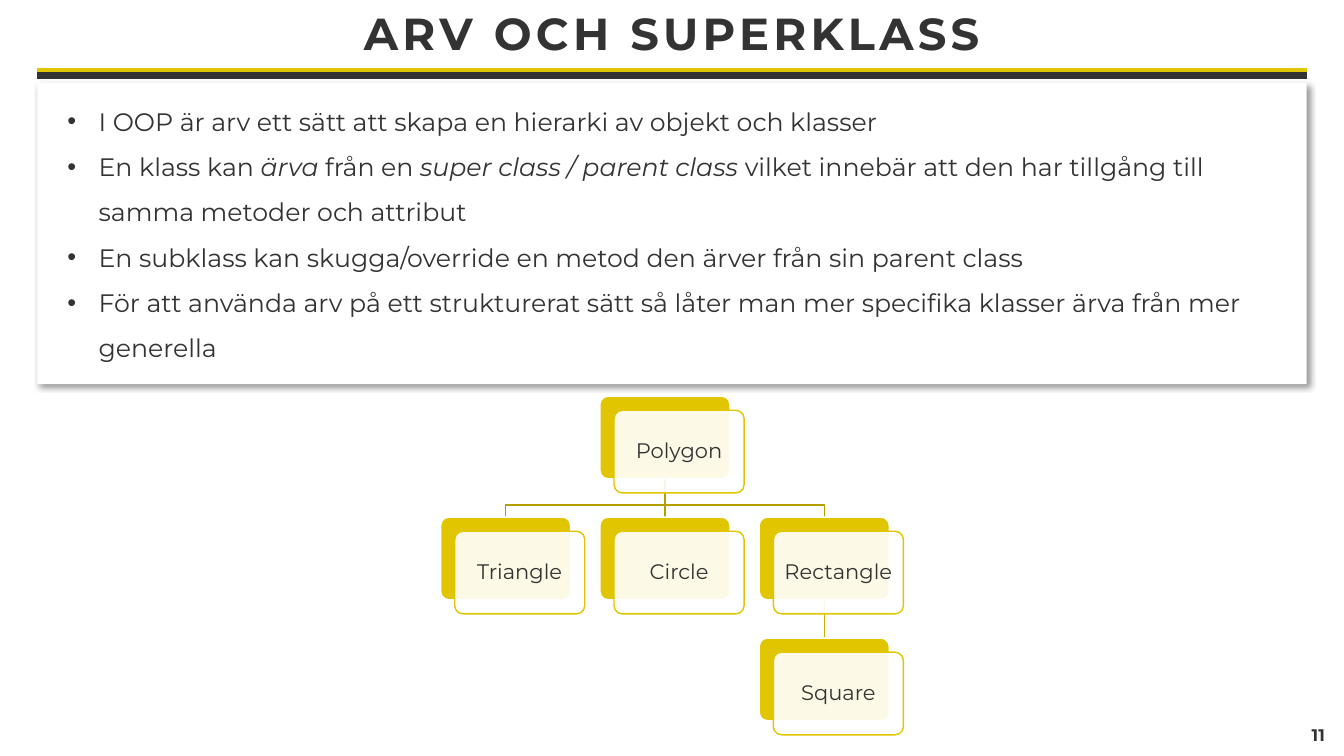
from dataclasses import dataclass

import pptx
import pptx.dml.color
import pptx.enum.shapes
import pptx.enum.text
import pptx.oxml
import pptx.oxml.ns
import pptx.presentation
import pptx.shapes.autoshape
import pptx.shapes.base
import pptx.slide
import pptx.text.text
import pptx.util
from lxml import etree

Inches = pptx.util.Inches
Pt = pptx.util.Pt
RGBColor = pptx.dml.color.RGBColor
Align = pptx.enum.text.PP_ALIGN
Anchor = pptx.enum.text.MSO_ANCHOR
Preset = pptx.enum.shapes.MSO_SHAPE
qn = pptx.oxml.ns.qn

GOLD = RGBColor(0xE1, 0xC5, 0x00)
OCHRE = RGBColor(0xB4, 0x9E, 0x00)
AMBER = RGBColor(0xCC, 0xB3, 0x00)
DARK = RGBColor(0x33, 0x33, 0x33)
WHITE = RGBColor(0xFF, 0xFF, 0xFF)
FONT = "Montserrat"

LEFT, TOP = 4.37, 3.93
STEP_X, STEP_Y = 1.58, 1.2
WIDE, HIGH = 1.29, 0.82
SHIFT = 0.14
BEND = 0.12


@dataclass(frozen=True)
class Node:
    name: str
    col: int
    row: int

    @property
    def left(self) -> float:
        return LEFT + self.col * STEP_X

    @property
    def top(self) -> float:
        return TOP + self.row * STEP_Y

    @property
    def mid(self) -> float:
        return self.left + WIDE / 2


@dataclass(frozen=True)
class Link:
    upper: Node
    lower: Node
    color: RGBColor


POLYGON = Node("Polygon", 1, 0)
TRIANGLE = Node("Triangle", 0, 1)
CIRCLE = Node("Circle", 1, 1)
RECTANGLE = Node("Rectangle", 2, 1)
SQUARE = Node("Square", 2, 2)
NODES = (POLYGON, TRIANGLE, CIRCLE, RECTANGLE, SQUARE)
LINKS = (
    Link(RECTANGLE, SQUARE, AMBER),
    Link(POLYGON, RECTANGLE, OCHRE),
    Link(POLYGON, CIRCLE, OCHRE),
    Link(POLYGON, TRIANGLE, OCHRE),
)

BULLETS = (
    ("I OOP är arv ett sätt att skapa en hierarki av objekt och klasser",),
    (
        "En klass kan ",
        "ärva",
        " från en ",
        "super class / parent class ",
        "vilket innebär att den har tillgång till samma metoder och attribut",
    ),
    ("En subklass kan skugga/override en metod den ärver från sin parent class",),
    (
        "För att använda arv på ett strukturerat sätt så låter man mer "
        "specifika klasser ärva från mer generella",
    ),
)


def style(run: pptx.text.text._Run, size: float, bold: bool = False) -> None:
    run.font.name = FONT
    run.font.size = Pt(size)
    run.font.bold = bold
    run.font.color.rgb = DARK


def label(
    shape: pptx.shapes.autoshape.Shape, text: str, size: float, bold: bool = False
) -> pptx.text.text._Paragraph:
    frame = shape.text_frame
    frame.word_wrap = True
    frame.vertical_anchor = Anchor.MIDDLE
    frame.text = text
    para = frame.paragraphs[0]
    para.alignment = Align.CENTER
    style(para.runs[0], size, bold)
    return para


def add_rule(
    slide: pptx.slide.Slide, start: tuple[float, float], end: tuple[float, float],
    color: RGBColor, width: float,
) -> None:
    rule = slide.shapes.add_connector(
        pptx.enum.shapes.MSO_CONNECTOR.STRAIGHT, *map(Inches, start + end)
    )
    rule.line.color.rgb = color
    rule.line.width = Pt(width)
    etree.SubElement(rule._element.spPr, qn("a:effectLst"))


def add_head(slide: pptx.slide.Slide) -> None:
    title = slide.shapes.add_textbox(0, 0, Inches(13.33), Inches(0.71))
    para = label(title, "ARV OCH SUPERKLASS", 32, True)
    para.line_spacing = 0.9
    para.runs[0].font._element.set("spc", "300")
    page = slide.shapes.add_textbox(*map(Inches, (12.82, 7.09, 0.51, 0.39)))
    label(page, "11", 12, True)
    for y, color in ((0.71, GOLD), (0.75, DARK)):
        add_rule(slide, (0.37, y), (12.96, y), color, 4.5)


def add_shade(shape: pptx.shapes.base.BaseShape) -> None:
    effects = shape._element.spPr.find(qn("a:effectLst"))
    shade = etree.SubElement(
        effects, qn("a:outerShdw"), blurRad=str(Pt(4)), dist=str(Pt(3)),
        dir="2700000", algn="tl", rotWithShape="0",
    )
    color = etree.SubElement(shade, qn("a:srgbClr"), val="000000")
    etree.SubElement(color, qn("a:alpha"), val="40000")


def add_panel(slide: pptx.slide.Slide) -> None:
    panel = slide.shapes.add_shape(
        Preset.RECTANGLE, *map(Inches, (0.37, 0.82, 12.59, 2.99))
    )
    panel.shadow.inherit = False
    panel.fill.solid()
    panel.fill.fore_color.rgb = WHITE
    panel.line.fill.background()
    add_shade(panel)
    frame = panel.text_frame
    frame.word_wrap = True
    frame.vertical_anchor = Anchor.TOP
    frame.margin_top, frame.margin_bottom = Inches(0.08), Inches(0.24)
    for index, parts in enumerate(BULLETS):
        para = frame.add_paragraph() if index else frame.paragraphs[0]
        para.alignment = Align.LEFT
        para.line_spacing = 1.5
        props = para._p.get_or_add_pPr()
        props.set("marL", str(Inches(0.51)))
        props.set("indent", str(Inches(-0.31)))
        etree.SubElement(props, qn("a:buFont"), typeface="Arial")
        etree.SubElement(props, qn("a:buChar"), char="•")
        for order, part in enumerate(parts):
            run = para.add_run()
            run.text = part
            style(run, 18)
            run.font.italic = order % 2 == 1


def add_link(slide: pptx.slide.Slide, link: Link) -> None:
    start = (link.upper.mid, link.upper.top + HIGH)
    end = (link.lower.mid, link.lower.top)
    if link.upper.col == link.lower.col:
        add_rule(slide, start, end, link.color, 1)
        return
    bend = end[1] - BEND
    first, *rest = [
        (Inches(x), Inches(y))
        for x, y in (start, (start[0], bend), (end[0], bend), end)
    ]
    build = slide.shapes.build_freeform(*first)
    build.add_line_segments(rest, close=False)
    elbow = build.convert_to_shape()
    elbow.shadow.inherit = False
    elbow.fill.background()
    elbow.line.color.rgb = link.color
    elbow.line.width = Pt(1)


def add_card(
    slide: pptx.slide.Slide, left: float, top: float, fill: RGBColor, edge: RGBColor
) -> pptx.shapes.autoshape.Shape:
    card = slide.shapes.add_shape(
        Preset.ROUNDED_RECTANGLE, *map(Inches, (left, top, WIDE, HIGH))
    )
    card.adjustments[0] = 0.1
    card.shadow.inherit = False
    card.fill.solid()
    card.fill.fore_color.rgb = fill
    card.line.color.rgb = edge
    card.line.width = Pt(1)
    return card


def add_node(slide: pptx.slide.Slide, node: Node) -> None:
    add_card(slide, node.left, node.top, GOLD, WHITE)
    front = add_card(slide, node.left + SHIFT, node.top + SHIFT, WHITE, GOLD)
    color = front._element.spPr.find(qn("a:solidFill")).find(qn("a:srgbClr"))
    etree.SubElement(color, qn("a:alpha"), val="90000")
    frame = front.text_frame
    frame.margin_left = frame.margin_right = Inches(0.06)
    label(front, node.name, 15).line_spacing = 0.9


def main() -> None:
    deck = pptx.Presentation()
    deck.slide_width, deck.slide_height = Inches(13.33), Inches(7.5)
    slide = deck.slides.add_slide(deck.slide_layouts[6])
    add_head(slide)
    add_panel(slide)
    for link in LINKS:
        add_link(slide, link)
    for node in NODES:
        add_node(slide, node)
    deck.save("out.pptx")


if __name__ == "__main__":
    main()
